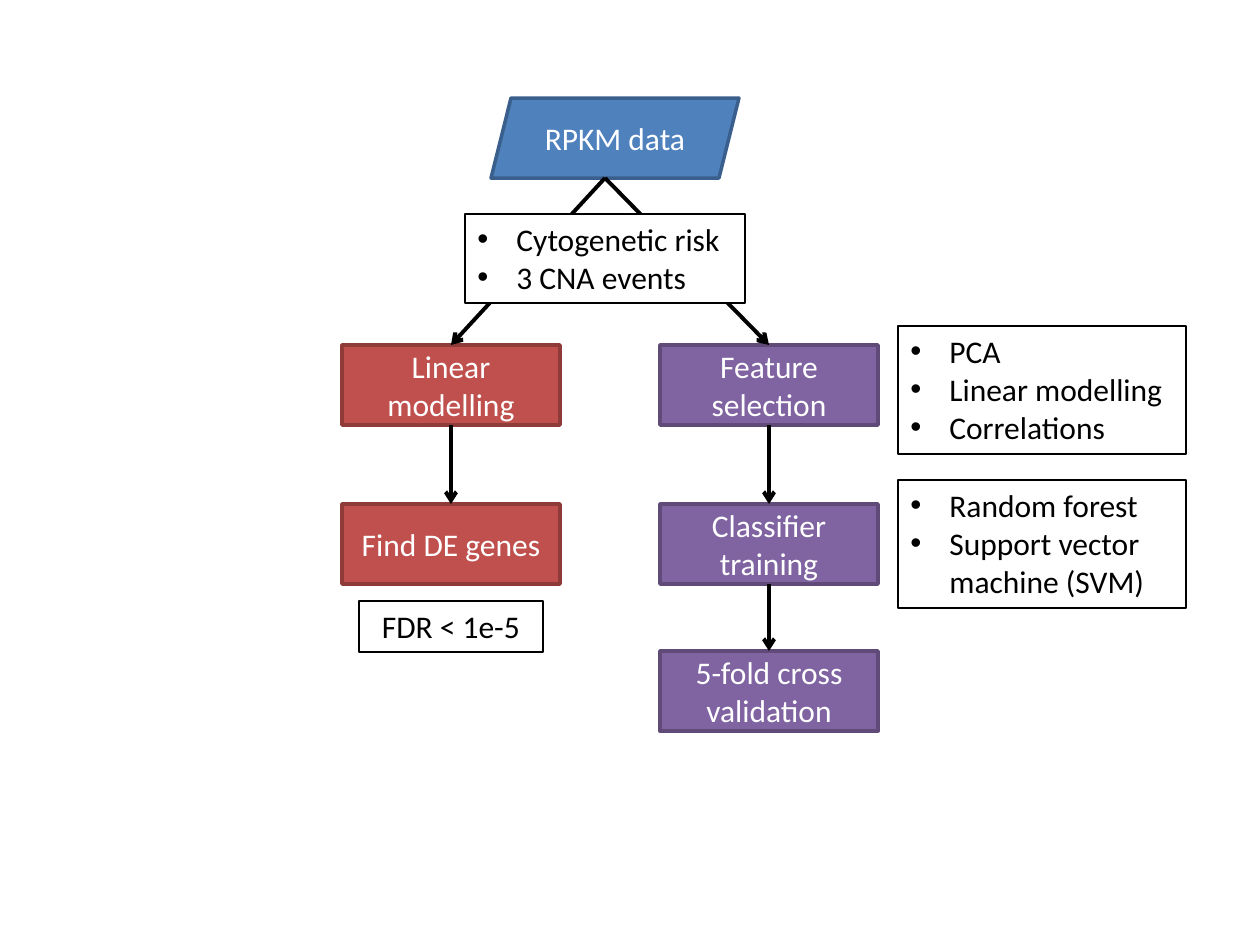
from dataclasses import dataclass

from pptx import Presentation
from pptx import util as u
from pptx.dml.color import RGBColor
from pptx.enum import shapes, text
from pptx.oxml.ns import qn
from lxml import etree


@dataclass(frozen=True)
class Theme:
    font: str = "Calibri"
    size: int = 18
    black: str = "000000"
    white: str = "FFFFFF"
    blue: tuple = ("4F81BD", "3A5F8C")
    red: tuple = ("C0504D", "8E3B39")
    purple: tuple = ("8064A2", "5F4A78")
    box_line: float = 2
    note_line: float = 0.75
    arrow_line: float = 2.25


T = Theme()
PX = u.Inches(1) / 126
STEP_W, STEP_H = 218, 80


def px(n):
    return u.Emu(round(n * PX))


def rgb(value):
    return RGBColor.from_string(value)


def add_box(slide, box, kind, fill, line, width):
    sp = slide.shapes.add_shape(kind, *map(px, box))
    sp.shadow.inherit = False
    if fill:
        sp.fill.solid()
        sp.fill.fore_color.rgb = rgb(fill)
    else:
        sp.fill.background()
    sp.line.color.rgb = rgb(line)
    sp.line.width = u.Pt(width)
    sp.text_frame.word_wrap = True
    return sp


def add_text(p, words, color, align):
    p.alignment = align
    r = p.add_run()
    r.text = words
    r.font.name = T.font
    r.font.size = u.Pt(T.size)
    r.font.color.rgb = rgb(color)


def add_step(slide, box, words, colors, kind=shapes.MSO_SHAPE.RECTANGLE):
    sp = add_box(slide, box, kind, *colors, T.box_line)
    tf = sp.text_frame
    tf.vertical_anchor = text.MSO_ANCHOR.MIDDLE
    add_text(tf.paragraphs[0], words, T.white, text.PP_ALIGN.CENTER)


def add_note(slide, box, lines, fill=None, bullets=True):
    sp = add_box(slide, box, shapes.MSO_SHAPE.RECTANGLE, fill, T.black, T.note_line)
    tf = sp.text_frame
    tf.vertical_anchor = text.MSO_ANCHOR.TOP
    align = text.PP_ALIGN.LEFT if bullets else text.PP_ALIGN.CENTER
    for i, words in enumerate(lines):
        p = tf.add_paragraph() if i else tf.paragraphs[0]
        add_text(p, words, T.black, align)
        if bullets:
            pPr = p._p.get_or_add_pPr()
            pPr.set("marL", str(px(39)))
            pPr.set("indent", str(-px(39)))
            etree.SubElement(pPr, qn("a:buFont"), typeface="Arial")
            etree.SubElement(pPr, qn("a:buChar"), char="•")


def add_arrow(slide, start, end):
    line = slide.shapes.add_connector(
        shapes.MSO_CONNECTOR.STRAIGHT, *map(px, (*start, *end)))
    line.line.color.rgb = rgb(T.black)
    line.line.width = u.Pt(T.arrow_line)
    spPr = line._element.spPr
    etree.SubElement(spPr.find(qn("a:ln")), qn("a:tailEnd"), type="arrow")
    etree.SubElement(spPr, qn("a:effectLst"))


def add_branch(slide, box, steps, colors):
    """Stack steps at the given offsets and join each to the next."""
    left, top, width, height = box
    center = left + width / 2
    for i, (offset, words) in enumerate(steps):
        y = top + offset
        add_step(slide, (left, y, width, height), words, colors)
        if i:
            above = top + steps[i - 1][0] + height
            add_arrow(slide, (center, above), (center, y))


def add_source(slide, box, targets):
    """Draw the input data, its two arrows and the note across them."""
    left, top, width, height = box
    add_step(slide, box, "RPKM data", T.blue, shapes.MSO_SHAPE.PARALLELOGRAM)
    start = (left + width / 2 - 10, top + height)
    for target in targets:
        add_arrow(slide, start, target)
    add_note(slide, (left - 26, top + 116, 280, 89),
             ["Cytogenetic risk", "3 CNA events"], T.white)


def build_flowchart(slide):
    red_x, purple_x, top = 342, 660, 345

    # Expression analysis branch
    add_branch(slide, (red_x, top, STEP_W, STEP_H),
               [(0, "Linear modelling"), (159, "Find DE genes")], T.red)
    add_note(slide, (red_x + 17, top + 256, 184, 51), ["FDR < 1e-5"], bullets=False)

    # Classifier branch
    add_branch(slide, (purple_x, top, STEP_W, STEP_H),
               [(0, "Feature selection"), (159, "Classifier training"),
                (306, "5-fold cross validation")], T.purple)
    notes = [(-19, ["PCA", "Linear modelling", "Correlations"]),
             (135, ["Random forest", "Support vector machine (SVM)"])]
    for offset, lines in notes:
        add_note(slide, (purple_x + 238, top + offset, 288, 128), lines)

    # Shared input
    targets = [(x + STEP_W / 2, top) for x in (red_x, purple_x)]
    add_source(slide, (491, 98, 248, STEP_H), targets)


prs = Presentation()
prs.slide_width, prs.slide_height = u.Inches(10), u.Inches(7.5)
build_flowchart(prs.slides.add_slide(prs.slide_layouts[6]))
prs.save("out.pptx")
